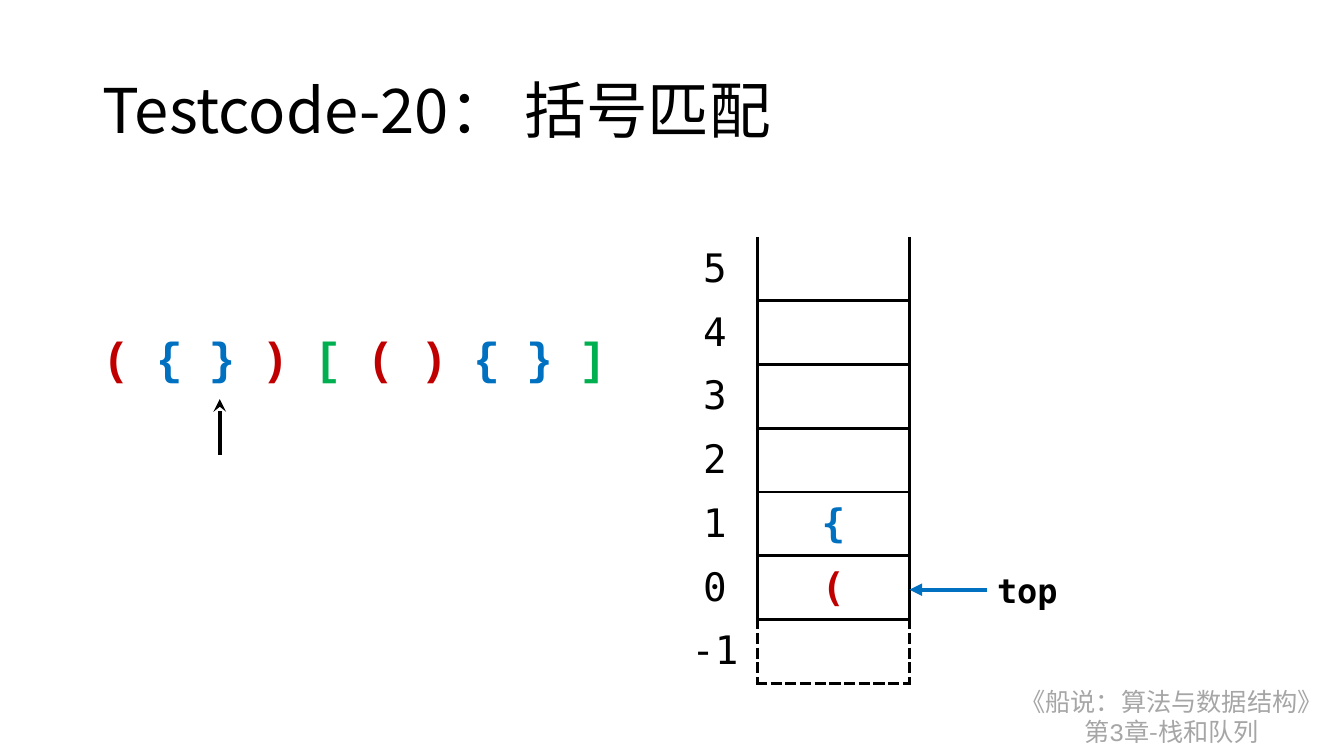
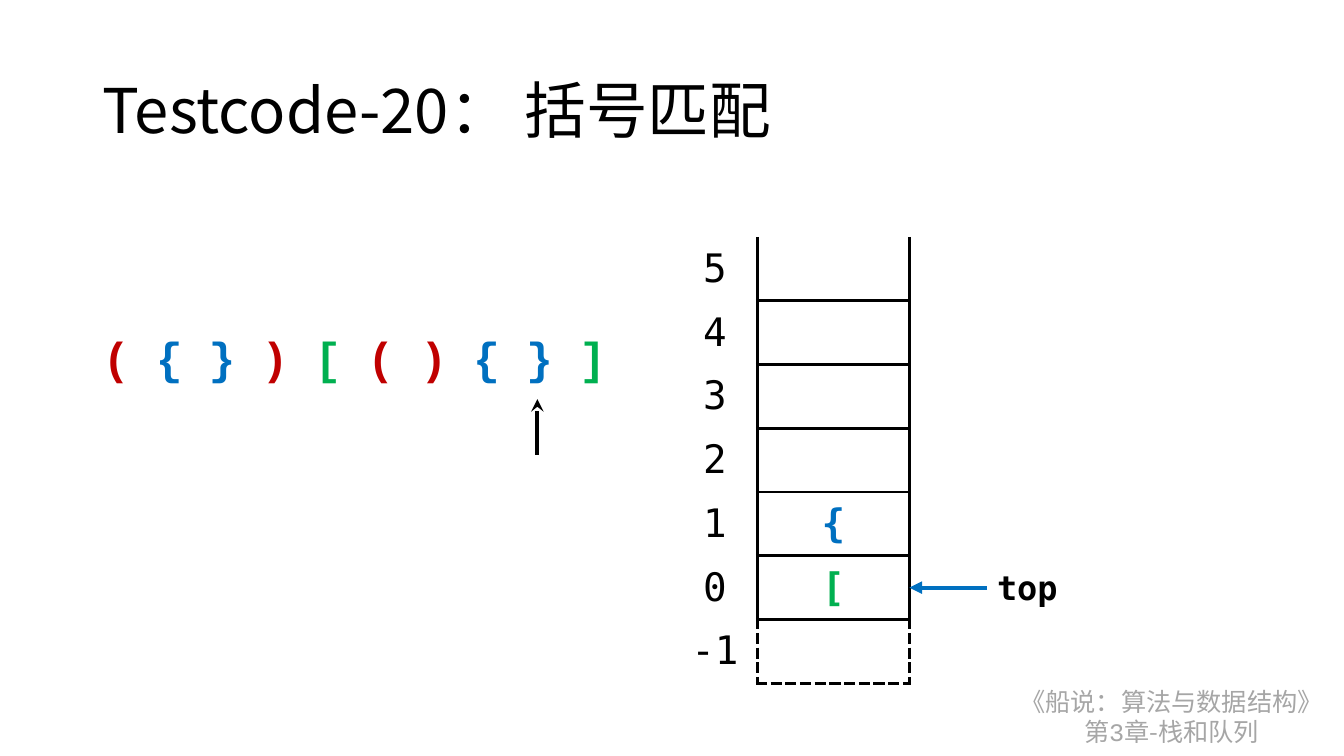
from dataclasses import dataclass

from lxml.etree import SubElement
from pptx import Presentation
from pptx.dml.color import RGBColor
from pptx.enum.shapes import MSO_CONNECTOR
from pptx.enum.text import MSO_ANCHOR, MSO_AUTO_SIZE, PP_ALIGN
from pptx.oxml import parse_xml
from pptx.oxml.ns import nsdecls, qn
from pptx.util import Pt

PX = 9144
PLAIN = "{2D5ABB26-0587-4C30-8999-92F81FD0307C}"


@dataclass(frozen=True)
class Theme:
    ink: str = "000000"
    red: str = "C00000"
    blue: str = "0070C0"
    green: str = "00B050"
    gray: str = "A6A6A6"
    sans: str = "Noto Sans CJK SC"
    mono: str = "DejaVu Sans Mono"
    code: str = "Courier New"
    title: int = 44
    input: int = 32
    cell: int = 28
    label: int = 24
    foot: int = 18
    rule: float = 2.25
    arrow: int = 3


T = Theme()

TITLE = "Testcode-20： 括号匹配"
FOOTER = [
    [("《船说：算法与数据结构》", T.sans)],
    [("第", T.sans), ("3", T.code), ("章-栈和队列", T.sans)],
]
INPUT = "({})[(){}]"
LEVELS = [5, 4, 3, 2, 1, 0, -1]
HUES = {"(": T.red, ")": T.red, "{": T.blue, "}": T.blue, "[": T.green, "]": T.green}
SLIDES = [
    {"cursor": 2, "stack": {0: "(", 1: "{"}, "top": 560},
    {"cursor": 8, "stack": {0: "[", 1: "{"}, "top": 558},
]

TITLE_BOX = (92, 40, 1150, 145)
FOOT_BOX = (997, 676, 330, 71)
STACK_BOX = (667, 235, 235, 443)
STACK_COLS = (84, 151)
INPUT_BOX = (92, 322, 525, 75)
TOP_X, TOP_W, TOP_H = 979, 81, 50
CURSOR_DX, CURSOR_TIP, CURSOR_END = 21, 396, 451


def emu(box):
    return [round(n * PX) for n in box]


def style(run, size, font, hue, bold=False):
    run.font.size = Pt(size)
    run.font.name = font
    run.font.bold = bold
    run.font.color.rgb = RGBColor.from_string(hue)
    SubElement(run.font._element, qn("a:ea")).set("typeface", font)


def add_text(slide, box, lines, size, hue, bold=False, align=PP_ALIGN.LEFT, wrap=False):
    shape = slide.shapes.add_textbox(*emu(box))
    frame = shape.text_frame
    frame.word_wrap = wrap
    frame.auto_size = MSO_AUTO_SIZE.NONE if wrap else MSO_AUTO_SIZE.SHAPE_TO_FIT_TEXT
    for i, line in enumerate(lines):
        para = frame.add_paragraph() if i else frame.paragraphs[0]
        para.alignment = align
        for text, font in line:
            run = para.add_run()
            run.text = text
            style(run, size, font, hue, bold)
    return shape


def add_line(slide, start, end, hue, head):
    line = slide.shapes.add_connector(MSO_CONNECTOR.STRAIGHT, *emu(start + end))
    line.line.width = Pt(T.arrow)
    line.line.color.rgb = RGBColor.from_string(hue)
    SubElement(line.line._get_or_add_ln(), qn("a:tailEnd")).set("type", head)
    SubElement(line._element.spPr, qn("a:effectLst"))
    return line


def add_grid(slide, box, rows, cols):
    table = slide.shapes.add_table(rows, len(cols), *emu(box)).table
    table._tbl.tblPr.find(qn("a:tableStyleId")).text = PLAIN
    table.first_row = table.horz_banding = False
    for col, width in zip(table.columns, cols):
        col.width = round(width * PX)
    for row in table.rows:
        row.height = round(box[3] * PX / rows)
    for cell in table.iter_cells():
        cell.fill.background()
        cell.vertical_anchor = MSO_ANCHOR.MIDDLE
    return table


def fill_cell(cell, text, size, font, hue, bold, align):
    cell.text_frame.text = text
    para = cell.text_frame.paragraphs[0]
    para.alignment = align
    style(para.runs[0], size, font, hue, bold)


def add_edges(cell, edges):
    props = cell._tc.get_or_add_tcPr()
    for i, (side, dash) in enumerate(edges):
        props.insert(i, parse_xml(
            f'<a:ln{side} {nsdecls("a")} w="{Pt(T.rule)}">'
            f'<a:solidFill><a:srgbClr val="{T.ink}"/></a:solidFill>'
            f'<a:prstDash val="{dash}"/></a:ln{side}>'))


def add_stack(slide, items):
    table = add_grid(slide, STACK_BOX, len(LEVELS), STACK_COLS)
    for i, level in enumerate(LEVELS):
        name, slot = table.cell(i, 0), table.cell(i, 1)
        dash = "sysDash" if level < 0 else "solid"
        fill_cell(name, str(level), T.cell, T.mono, T.ink, False, PP_ALIGN.CENTER)
        add_edges(name, [("R", dash)])
        sides = "LRTB" if i else "LRB"
        add_edges(slot, [(s, "solid" if s == "T" else dash) for s in sides])
        if level in items:
            mark = items[level]
            fill_cell(slot, mark, T.cell, T.mono, HUES[mark], True, PP_ALIGN.CENTER)


def add_input(slide, cursor):
    step = INPUT_BOX[2] / len(INPUT)
    table = add_grid(slide, INPUT_BOX, 1, [step] * len(INPUT))
    for i, mark in enumerate(INPUT):
        fill_cell(table.cell(0, i), mark, T.input, T.code, HUES[mark], True, PP_ALIGN.LEFT)
    x = INPUT_BOX[0] + step * cursor + CURSOR_DX
    add_line(slide, (x, CURSOR_END), (x, CURSOR_TIP), T.ink, "stealth")


def add_top(slide, y):
    label = add_text(slide, (TOP_X, y, TOP_W, TOP_H), [[("top", T.mono)]],
                     T.label, T.ink, True)
    mid = y + TOP_H / 2
    edge = STACK_BOX[0] + STACK_BOX[2]
    line = add_line(slide, (TOP_X, mid), (edge, mid), T.blue, "triangle")
    line.begin_connect(label, 1)


def add_frame(slide):
    add_text(slide, FOOT_BOX, FOOTER, T.foot, T.gray, align=PP_ALIGN.CENTER)
    title = add_text(slide, TITLE_BOX, [[(TITLE, T.sans)]], T.title, T.ink, wrap=True)
    title.text_frame.vertical_anchor = MSO_ANCHOR.MIDDLE
    title.text_frame.paragraphs[0].line_spacing = 0.9


def main():
    deck = Presentation()
    deck.slide_width, deck.slide_height = emu((1333, 750))
    for item in SLIDES:
        slide = deck.slides.add_slide(deck.slide_layouts[6])
        add_frame(slide)
        add_stack(slide, item["stack"])
        add_top(slide, item["top"])
        add_input(slide, item["cursor"])
    deck.save("out.pptx")


if __name__ == "__main__":
    main()
